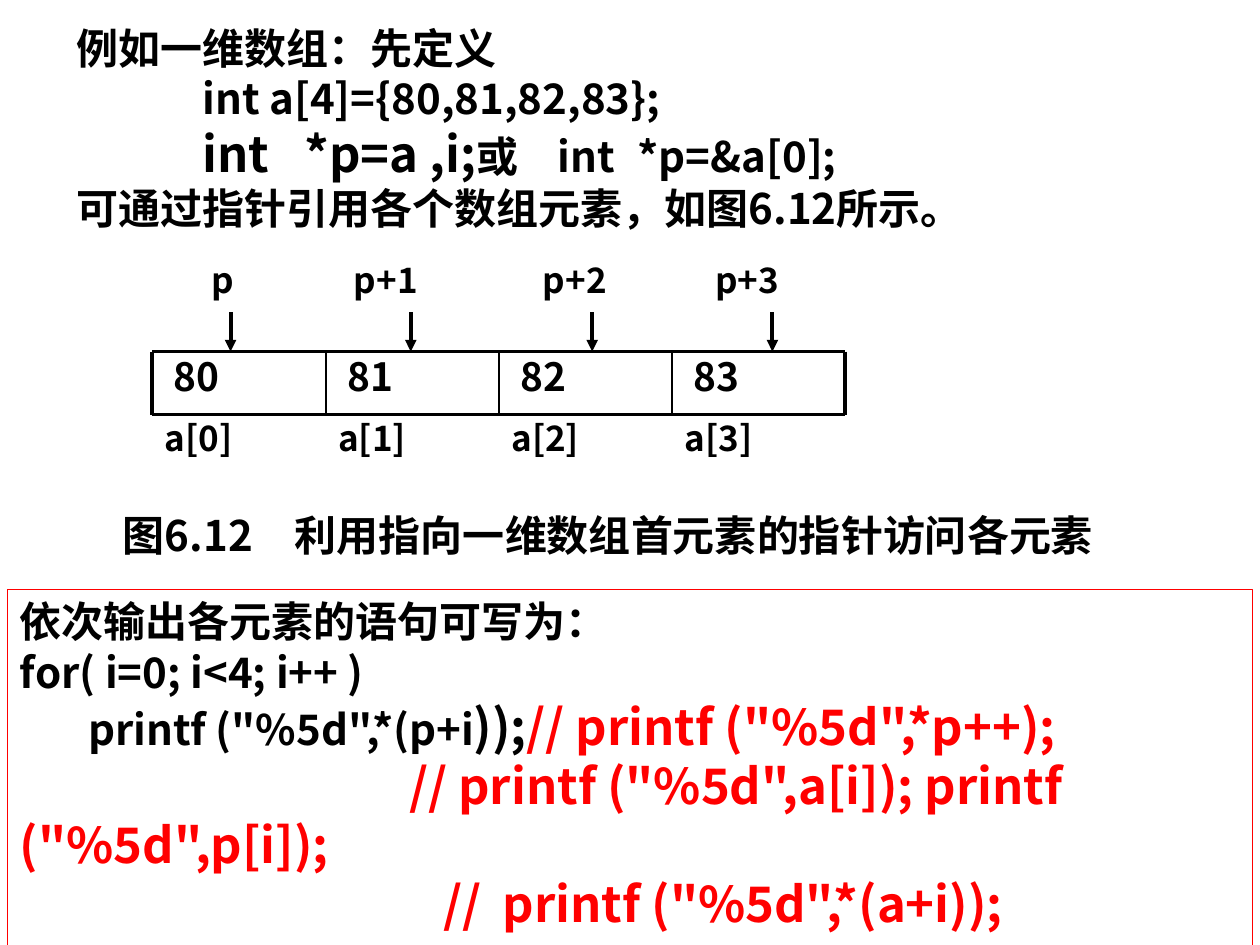
from pptx import Presentation
from pptx import util as u
from pptx.dml.color import RGBColor
from pptx.enum import shapes, text
from pptx.oxml.ns import qn
from lxml import etree

COLORS = {"ink": "000000", "accent": "FF0000", "paper": "FFFFFF"}
FONT = "Noto Sans CJK SC"
COLS, ROWS = 100, 75


class Deck:
    """Holds the style and the current slide; lengths are grid columns and rows."""

    def __init__(self, width, height):
        self.prs = Presentation()
        self.prs.slide_width, self.prs.slide_height = u.Inches(width), u.Inches(height)
        self.s = self.prs.slides.add_slide(self.prs.slide_layouts[6])

    def x(self, cols):
        return round(self.prs.slide_width * cols / COLS)

    def y(self, rows):
        return round(self.prs.slide_height * rows / ROWS)

    def color(self, name):
        return RGBColor.from_string(COLORS[name])

    def place(self, at):
        left, top, width, height = at
        return self.x(left), self.y(top), self.x(width), self.y(height)

    def fill_text(self, sp, paras, size, spacing=None, inset=1, wrap=True,
                  anchor=text.MSO_ANCHOR.TOP, align=text.PP_ALIGN.LEFT):
        """Each paragraph is (tab stops, runs); a run is (words, size, colour)."""
        tf = sp.text_frame
        tf.word_wrap, tf.vertical_anchor = wrap, anchor
        tf.margin_left, tf.margin_right = self.x(inset), self.x(1)
        tf.margin_top = tf.margin_bottom = self.y(0.5)
        for i, (stops, runs) in enumerate(paras):
            p = tf.paragraphs[0] if i == 0 else tf.add_paragraph()
            p.alignment = align
            if spacing:
                p.line_spacing = spacing
            if stops:
                tabs = etree.SubElement(p._p.get_or_add_pPr(), qn("a:tabLst"))
                for stop in stops:
                    etree.SubElement(tabs, qn("a:tab"), pos=str(self.x(stop)), algn="l")
            for words, *style in runs:
                r = p.add_run()
                r.text = words
                r.font.name, r.font.bold = FONT, True
                r.font.size = u.Pt(style[0] if style else size)
                r.font.color.rgb = self.color(style[1] if len(style) > 1 else "ink")
                etree.SubElement(r.font._element, qn("a:ea"), typeface=FONT)

    def textbox(self, at, paras, size, **style):
        self.fill_text(self.s.shapes.add_textbox(*self.place(at)), paras, size, **style)

    def label(self, at, words, size=20, **style):
        self.textbox(at, [((), [(words,)])], size, **style)

    def frame(self, at, paras, size, line, width, **style):
        sp = self.s.shapes.add_shape(shapes.MSO_SHAPE.RECTANGLE, *self.place(at))
        sp.shadow.inherit = False
        sp.fill.background()
        sp.line.color.rgb, sp.line.width = self.color(line), u.Pt(width)
        self.fill_text(sp, paras, size, **style)

    def line(self, x1, y1, x2, y2, width=2.25, arrow=False):
        ln = self.s.shapes.add_connector(
            shapes.MSO_CONNECTOR.STRAIGHT,
            self.x(x1), self.y(y1), self.x(x2), self.y(y2))
        ln.line.color.rgb, ln.line.width = self.color("ink"), u.Pt(width)
        if arrow:
            etree.SubElement(ln.line._get_or_add_ln(), qn("a:tailEnd"), type="triangle")
        etree.SubElement(ln._element.spPr, qn("a:effectLst"))


def main():
    d = Deck(10, 7.5)

    # Introduction
    d.textbox((5.1, 1.3, 89.8, 17.7), [
        ((), [("例如一维数组：先定义",)]),
        ((10,), [("\tint a[4]={80,81,82,83};",)]),
        ((10, 18.1, 38.2, 44.5), [("\tint\t*p=a ,i;", 28), ("或\tint\t*p=&a[0];",)]),
        ((), [("可通过指针引用各个数组元素，如图6.12所示。",)]),
    ], 24)

    # Figure caption
    d.frame((8.5, 39.9, 79.5, 5), [((), [("图6.12　利用指向一维数组首元素的指针访问各元素",)])],
            24, "paper", 3, wrap=False, anchor=text.MSO_ANCHOR.MIDDLE,
            align=text.PP_ALIGN.CENTER)

    # Output statements
    d.frame((0.6, 46.8, 98.8, 32.4), [
        ((), [("依次输出各元素的语句可写为：",)]),
        ((), [("for( i=0; i<4; i++ )",)]),
        ((5.4,), [("\tprintf (\"%5d\",*(p+i",), ("));", 28),
                  ("// printf (\"%5d\",*p++);", 28, "accent")]),
        ((30.9,), [("\t// printf (\"%5d\",a[i]); printf (\"%5d\",p[i]);", 28, "accent")]),
        ((33.6, 38.3), [("\t//\tprintf (\"%5d\",*(a+i));", 28, "accent")]),
    ], 24, "accent", 0.75)

    # Array cells with their element names
    left, top, bottom, cell = 12.1, 27.9, 32.9, 13.75
    values = [80, 81, 82, 83]
    right = left + cell * len(values)
    for i, value in enumerate(values):
        x = left + i * cell
        d.label((x, top, cell, bottom - top), str(value), 22.2, spacing=0.9, inset=1.7)
        d.label((x, 32.6, cell, 4.4), f"a[{i}]")

    # Array borders
    for y in (top, bottom):
        d.line(left, y, right, y)
    for i in range(len(values) + 1):
        x = left + i * cell
        d.line(x, top, x, bottom, 2.25 if i in (0, len(values)) else 1)

    # Pointers: label left, label width, arrow position
    pointers = {"p": (15.8, 6.2, 18.3), "p+1": (27.1, 13.8, 32.6),
                "p+2": (42.1, 12.5, 47), "p+3": (55.8, 13.7, 61.3)}
    for name, (x, width, tip) in pointers.items():
        d.label((x, 20, width, 4.4), name)
        d.line(tip, 24.8, tip, top, arrow=True)

    d.prs.save("out.pptx")


if __name__ == "__main__":
    main()
